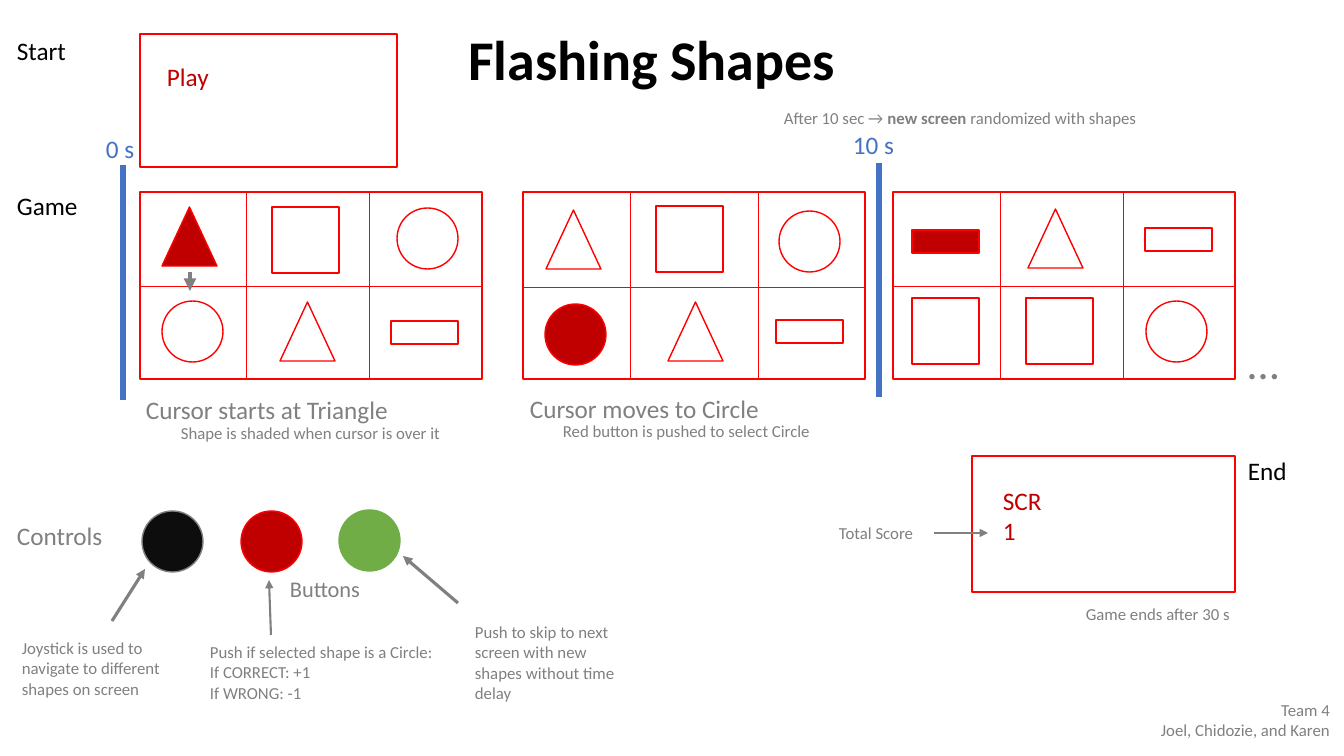
from dataclasses import dataclass
from typing import NamedTuple, Optional

from lxml import etree
from pptx import Presentation, util as u
from pptx.dml.color import RGBColor as Rgb
from pptx.enum import shapes, text
from pptx.oxml import ns

PX = 914400 / 100.8  # EMU in one pixel
KIND = shapes.MSO_SHAPE
LEFT, RIGHT = text.PP_ALIGN.LEFT, text.PP_ALIGN.RIGHT


@dataclass(frozen=True)
class Theme:
    font: str = "Calibri"
    black: Rgb = Rgb(0, 0, 0)
    gray: Rgb = Rgb(0x80, 0x80, 0x80)
    red: Rgb = Rgb(0xFF, 0, 0)
    dark: Rgb = Rgb(0xC0, 0, 0)
    blue: Rgb = Rgb(0x44, 0x72, 0xC4)
    green: Rgb = Rgb(0x70, 0xAD, 0x47)
    stick: Rgb = Rgb(0x0D, 0x0D, 0x0D)
    title: int = 40
    dots: int = 32
    head: int = 18
    sub: int = 16
    note: int = 12
    edge: float = 1
    grid: float = 0.5
    time: float = 4.5


T = Theme()


class Form(NamedTuple):
    kind: KIND
    wide: int
    high: int


TRI = Form(KIND.ISOSCELES_TRIANGLE, 55, 59)
BOX = Form(KIND.RECTANGLE, 67, 66)
DISC = Form(KIND.OVAL, 61, 61)
BAR = Form(KIND.RECTANGLE, 67, 23)
SCREEN = Form(KIND.RECTANGLE, 342, 187)


class Mark(NamedTuple):
    form: Form
    x: int
    y: int
    fill: Optional[Rgb] = None
    line: Rgb = T.red


class Game(NamedTuple):
    x: int
    cols: tuple[int, int]
    row: int
    marks: list[Mark]


class Rule(NamedTuple):
    x1: int
    y1: int
    x2: int
    y2: int
    color: Rgb
    width: float
    head: bool = False


class Label(NamedTuple):
    x: int
    y: int
    wide: int
    high: int
    lines: list[str]  # every second part between * signs is bold
    size: int = T.note
    color: Rgb = T.gray
    align: text.PP_ALIGN = LEFT


def px(n: float) -> u.Emu:
    return u.Emu(round(n * PX))


def write(shape, label: Label, bold: bool = False) -> None:
    frame = shape.text_frame
    frame.word_wrap = True
    frame.auto_size = text.MSO_AUTO_SIZE.NONE
    frame.vertical_anchor = text.MSO_ANCHOR.TOP
    for i, line in enumerate(label.lines):
        para = frame.add_paragraph() if i else frame.paragraphs[0]
        para.alignment = label.align
        for j, part in enumerate(line.split("*")):
            run = para.add_run()
            run.text = part
            run.font.name = T.font
            run.font.size = u.Pt(label.size)
            run.font.bold = bold or j % 2 == 1
            run.font.color.rgb = label.color


def draw(slide, mark: Mark) -> None:
    form = mark.form
    shape = slide.shapes.add_shape(form.kind, px(mark.x), px(mark.y), px(form.wide), px(form.high))
    shape.shadow.inherit = False
    if mark.fill is None:
        shape.fill.background()
    else:
        shape.fill.solid()
        shape.fill.fore_color.rgb = mark.fill
    shape.line.color.rgb = mark.line
    shape.line.width = u.Pt(T.edge)


def link(slide, rule: Rule) -> None:
    line = slide.shapes.add_connector(
        shapes.MSO_CONNECTOR.STRAIGHT, px(rule.x1), px(rule.y1), px(rule.x2), px(rule.y2))
    line.line.color.rgb = rule.color
    line.line.width = u.Pt(rule.width)
    if rule.head:
        etree.SubElement(line.line._ln, ns.qn("a:tailEnd"), type="triangle")
    etree.SubElement(line._element.spPr, ns.qn("a:effectLst"))


def play(slide, game: Game) -> None:
    top, end = 192, game.x + SCREEN.wide
    draw(slide, Mark(SCREEN, game.x, top))
    for col in game.cols:
        link(slide, Rule(col, top, col, top + SCREEN.high + 1, T.red, T.grid))
    link(slide, Rule(game.x, game.row, end, game.row, T.red, T.grid))
    for mark in game.marks:
        draw(slide, mark)


GAMES = [
    Game(140, (246, 369), 286, [
        Mark(TRI, 162, 207, T.dark), Mark(BOX, 272, 207), Mark(DISC, 397, 208),
        Mark(DISC, 162, 301), Mark(TRI, 280, 302), Mark(BAR, 391, 321)]),
    Game(523, (630, 758), 287, [
        Mark(TRI, 546, 210), Mark(BOX, 656, 206), Mark(DISC, 779, 211),
        Mark(DISC, 545, 304, T.dark), Mark(TRI, 668, 302), Mark(BAR, 776, 320)]),
    Game(893, (1000, 1123), 286, [
        Mark(BAR, 912, 230, T.dark), Mark(TRI, 1028, 209), Mark(BAR, 1145, 228),
        Mark(BOX, 912, 298), Mark(BOX, 1026, 298), Mark(DISC, 1146, 301)]),
]
MARKS = [
    # Start and end screens
    Mark(Form(KIND.RECTANGLE, 257, 133), 140, 34),
    Mark(Form(KIND.RECTANGLE, 263, 136), 972, 456),
    # Controls
    Mark(DISC, 142, 511, T.stick, T.gray),
    Mark(DISC, 241, 511, T.dark),
    Mark(DISC, 339, 510, T.green, T.green),
]
RULES = [
    # Time marks
    Rule(123, 400, 123, 165, T.blue, T.time),
    Rule(879, 397, 879, 163, T.blue, T.time),
    # Arrows
    Rule(190, 272, 190, 291, T.gray, 3, True),
    Rule(112, 621, 145, 569, T.gray, 2.25, True),
    Rule(271, 635, 269, 580, T.gray, 1.5, True),
    Rule(458, 603, 403, 556, T.gray, 2.25, True),
    Rule(934, 533, 988, 533, T.gray, 1.5, True),
]
TITLE = Label(458, 19, 640, 78, ["Flashing Shapes"], T.title, T.black)
LABELS = [
    # Stages
    Label(7, 30, 104, 40, ["Start"], T.head, T.black),
    Label(7, 185, 104, 40, ["Game"], T.head, T.black),
    Label(1238, 450, 69, 40, ["End"], T.head, T.black),
    Label(7, 515, 109, 40, ["Controls"], T.head),
    # Screen words and times
    Label(157, 56, 158, 40, ["Play"], T.head, T.dark),
    Label(993, 480, 104, 72, ["SCR", "1"], T.head, T.dark),
    Label(96, 128, 104, 40, ["0 s"], T.head, T.blue),
    Label(843, 124, 104, 40, ["10 s"], T.head, T.blue),
    # Game notes
    Label(136, 389, 272, 40, ["Cursor starts at Triangle"], T.head),
    Label(520, 388, 272, 40, ["Cursor moves to Circle"], T.head),
    Label(171, 418, 290, 30, ["Shape is shaded when cursor is over it"]),
    Label(553, 416, 272, 30, ["Red button is pushed to select Circle"]),
    Label(774, 103, 389, 30, ["After 10 sec → *new screen *randomized with shapes"]),
    Label(1238, 330, 41, 65, ["…"], T.dots),
    Label(829, 518, 108, 30, ["Total Score"]),
    Label(1076, 599, 167, 30, ["Game ends after 30 s"]),
    # Control notes
    Label(280, 570, 109, 37, ["Buttons"], T.sub),
    Label(12, 633, 178, 72, ["Joystick is used to navigate to different shapes on screen"]),
    Label(200, 637, 272, 72, ["Push if selected shape is a Circle:", "If CORRECT: +1", "If WRONG: -1"]),
    Label(465, 617, 178, 92, ["Push to skip to next screen with new shapes without time delay"]),
    # Team
    Label(1123, 695, 217, 50, ["Team 4", "Joel, Chidozie, and Karen"], align=RIGHT),
]


def main() -> None:
    deck = Presentation()
    deck.slide_width, deck.slide_height = px(1344), px(756)
    slide = deck.slides.add_slide(deck.slide_layouts[5])

    # Title
    title = slide.shapes.title
    title.left, title.top = px(TITLE.x), px(TITLE.y)
    title.width, title.height = px(TITLE.wide), px(TITLE.high)
    write(title, TITLE, bold=True)

    # Screens, controls, lines and words
    for game in GAMES:
        play(slide, game)
    for mark in MARKS:
        draw(slide, mark)
    for rule in RULES:
        link(slide, rule)
    for label in LABELS:
        box = slide.shapes.add_textbox(px(label.x), px(label.y), px(label.wide), px(label.high))
        write(box, label)

    deck.save("out.pptx")


main()
